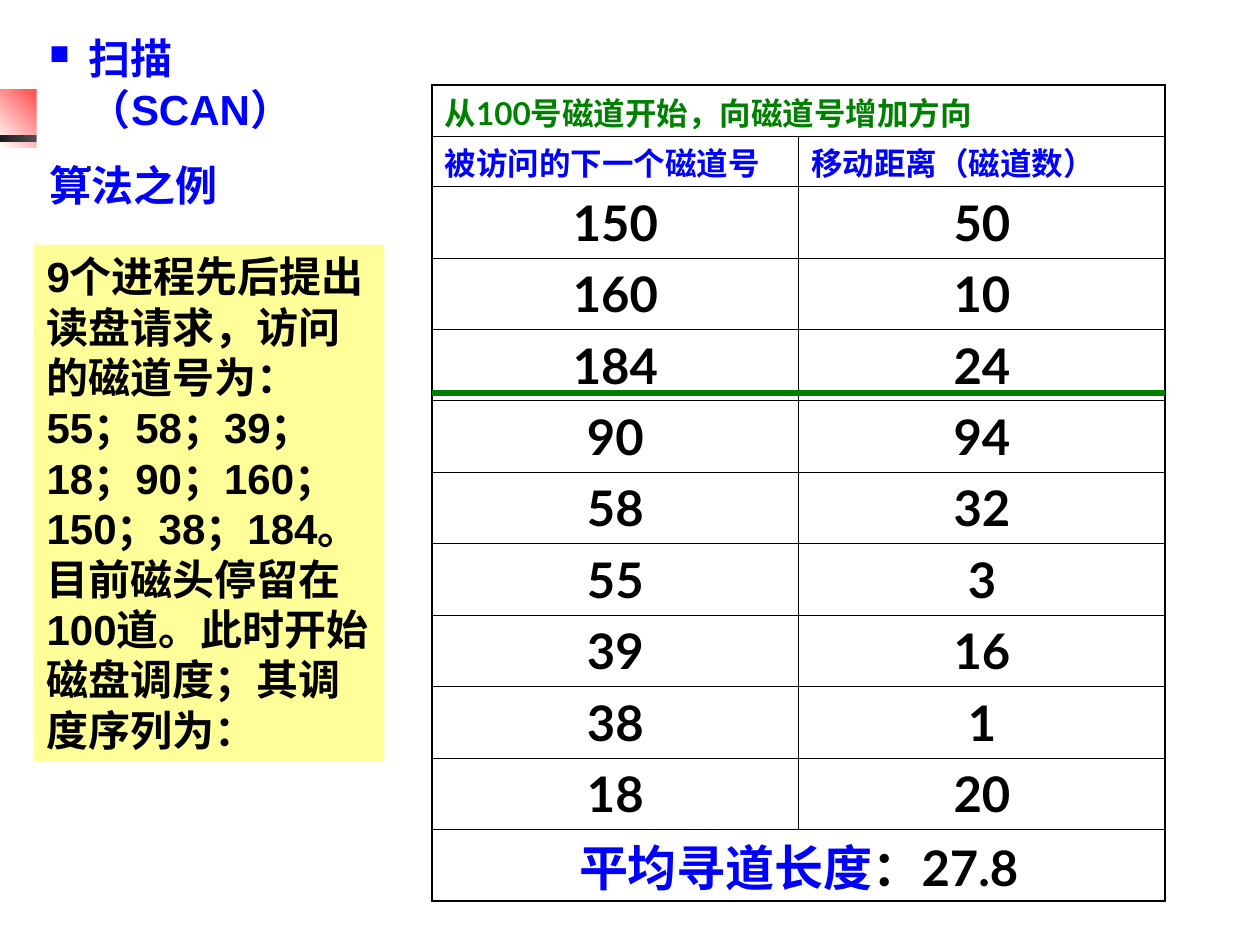
"""Build the slide on the SCAN disk scheduling example."""
from lxml import etree
from pptx import Presentation, util as u
from pptx.dml.color import RGBColor
from pptx.enum import shapes, text
from pptx.oxml.ns import qn

BLUE = RGBColor(0x00, 0x00, 0xFF)
GREEN = RGBColor(0x00, 0x80, 0x00)
BLACK = RGBColor(0x00, 0x00, 0x00)
WHITE = RGBColor(0xFF, 0xFF, 0xFF)
YELLOW = RGBColor(0xFF, 0xFF, 0x99)
RED = RGBColor(0xFF, 0x00, 0x00)
DARK = RGBColor(0x1C, 0x1C, 0x1C)


def style(r, font, size, color):
    r.font.name, r.font.size, r.font.bold = font, u.Pt(size), True
    r.font.color.rgb = color


def border(tcPr, side, width):
    ln = etree.SubElement(tcPr, qn(f"a:ln{side}"), w=str(u.Pt(width)))
    fill = etree.SubElement(ln, qn("a:solidFill"))
    etree.SubElement(fill, qn("a:srgbClr"), val=str(BLACK))


prs = Presentation()
prs.slide_width, prs.slide_height = u.Cm(25.4), u.Cm(19.05)
s = prs.slides.add_slide(prs.slide_layouts[5])

bars = [
    (0, 1.8, 1.55, 1.17, (WHITE, RED), 45),
    (1.75, 0.6, 0.08, 2.85, (DARK, DARK), 0),
    (0, 2.72, 3.1, 0.15, (DARK, WHITE), 0),
]
for x, y, w, h, colors, angle in bars:
    sp = s.shapes.add_shape(shapes.MSO_SHAPE.RECTANGLE, u.Cm(x), u.Cm(y), u.Cm(w), u.Cm(h))
    sp.shadow.inherit = False
    sp.line.fill.background()
    sp.fill.gradient()
    sp.fill.gradient_angle = angle
    for stop, color in zip(sp.fill.gradient_stops, colors):
        stop.color.rgb = color

rows = [
    ("从100号磁道开始，向磁道号增加方向", ""),
    ("被访问的下一个磁道号", "移动距离（磁道数）"),
    ("150", "50"), ("160", "10"), ("184", "24"),
    ("90", "94"), ("58", "32"), ("55", "3"),
    ("39", "16"), ("38", "1"), ("18", "20"),
    ("平均寻道长度", ""),
]
last = len(rows) - 1
tbl = s.shapes.add_table(len(rows), 2, u.Cm(8.71), u.Cm(1.72), u.Cm(14.78), u.Cm(16.43)).table
tbl.first_row = tbl.horz_banding = False
for col in tbl.columns:
    col.width = u.Cm(7.39)
for i in (0, last):
    tbl.cell(i, 0).merge(tbl.cell(i, 1))
for i, values in enumerate(rows):
    header = i < 2
    tbl.rows[i].height = u.Cm(1.02 if header else 1.44)
    for j, value in enumerate(values):
        cell = tbl.cell(i, j)
        tcPr = cell._tc.get_or_add_tcPr()
        outer = {"L": j == 0, "R": j == 1 or cell.is_merge_origin, "T": i == 0, "B": i == last}
        for side, edge in outer.items():
            border(tcPr, side, 1.08 if edge else 0.45)
        cell.fill.background()
        cell.margin_top = u.Cm(0.07 if header else 0)
        cell.margin_bottom = 0
        if not value:
            continue
        p = cell.text_frame.paragraphs[0]
        p.text = value
        color = GREEN if i == 0 else BLUE if i in (1, last) else BLACK
        style(p.runs[0], "Lato", 18 if header else 28, color)
        if not header:
            cell.vertical_anchor = text.MSO_ANCHOR.MIDDLE
            p.alignment = text.PP_ALIGN.CENTER
r = tbl.cell(last, 0).text_frame.paragraphs[0].add_run()
r.text = "：27.8"
style(r, "Lato", 28, BLACK)

title = s.shapes.title
s.shapes._spTree.append(title._element)
title.left, title.top, title.width, title.height = u.Cm(0.74), u.Cm(0.53), u.Cm(7.6), u.Cm(2.82)
title.text_frame.text = "扫描（SCAN）\n算法之例"
title.text_frame.margin_right = u.Cm(1.4)
note = s.shapes.add_textbox(u.Cm(0.69), u.Cm(4.93), u.Cm(7.06), u.Cm(10.41))
note.text_frame.text = (
    "9个进程先后提出读盘请求，访问的磁道号为："
    "55；58；39；18；90；160；150；38；184。"
    "目前磁头停留在100道。此时开始磁盘调度；其调度序列为："
)
for sp, fill, color in ((title, WHITE, BLUE), (note, YELLOW, BLACK)):
    sp.fill.solid()
    sp.fill.fore_color.rgb = fill
    tf = sp.text_frame
    tf.word_wrap = True
    tf.auto_size = text.MSO_AUTO_SIZE.NONE
    tf.vertical_anchor = text.MSO_ANCHOR.TOP
    for p in tf.paragraphs:
        p.alignment = text.PP_ALIGN.LEFT
        style(p.runs[0], "Arial", 24, color)

first, second = title.text_frame.paragraphs
second.space_before = u.Pt(15)
pPr = first._p.get_or_add_pPr()
pPr.set("marL", str(u.Cm(0.8)))
pPr.set("indent", str(u.Cm(-0.8)))
etree.SubElement(etree.SubElement(pPr, qn("a:buClr")), qn("a:srgbClr"), val=str(BLUE))
etree.SubElement(pPr, qn("a:buSzPct"), val="65000")
etree.SubElement(pPr, qn("a:buChar"), char="■")

line = s.shapes.add_connector(
    shapes.MSO_CONNECTOR.STRAIGHT, u.Cm(8.71), u.Cm(7.92), u.Cm(23.49), u.Cm(7.92))
line.line.color.rgb = GREEN
line.line.width = u.Pt(3)
etree.SubElement(line._element.spPr, qn("a:effectLst"))

prs.save("out.pptx")
